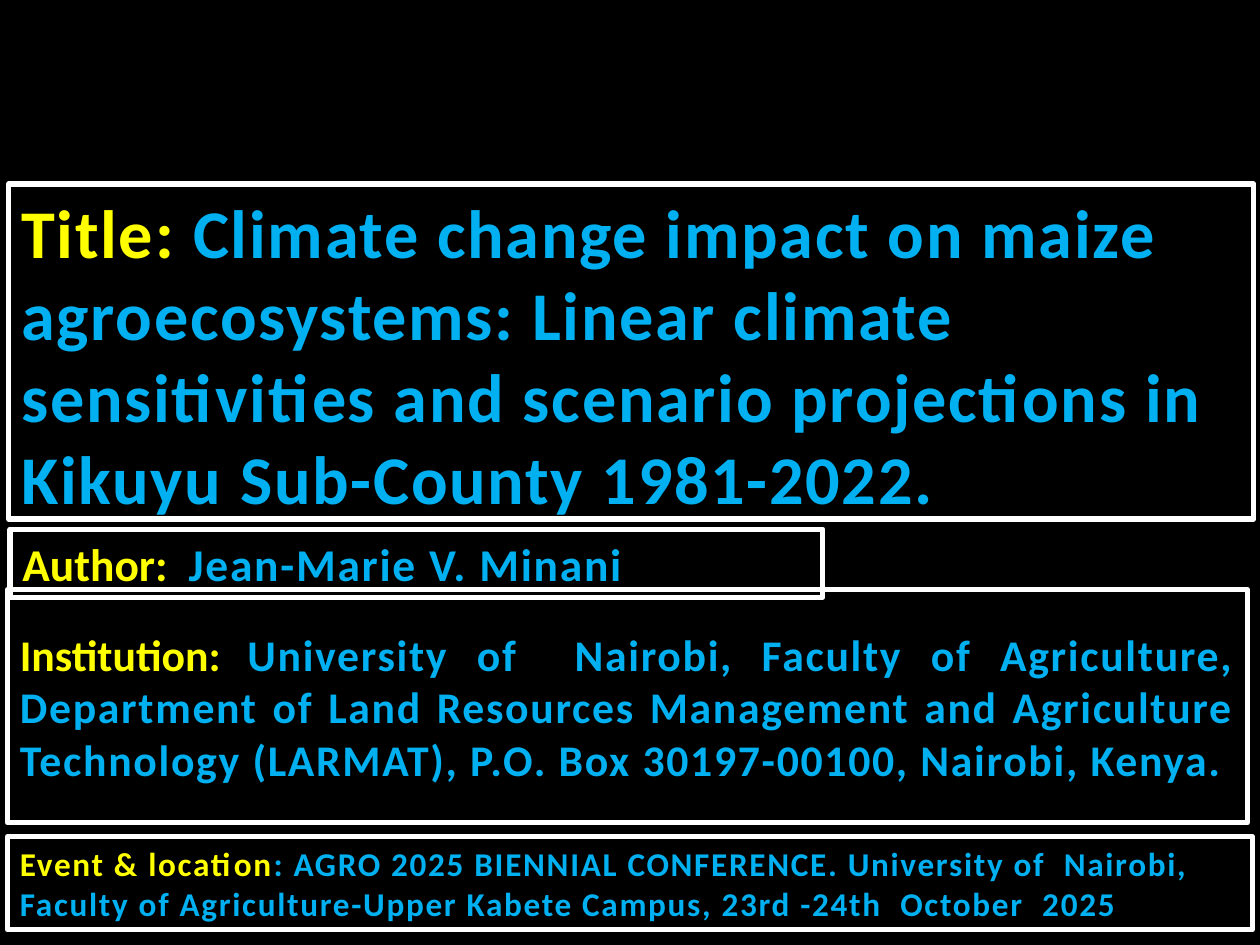
from dataclasses import dataclass

from pptx import Presentation
from pptx import util as u
from pptx.dml.color import RGBColor
from pptx.enum import text


@dataclass(frozen=True)
class Theme:
    background: str = "000000"
    border: str = "FFFFFF"
    label: str = "FFFF00"
    detail: str = "00B0F0"
    font: str = "Calibri"
    border_width: int = 3
    tracking: int = 1
    title_size: int = 39
    author_size: int = 26
    institution_size: int = 25
    event_size: int = 19


THEME = Theme()
SLIDE_WIDTH, SLIDE_HEIGHT = 10, 7.5


def add_run(paragraph, words, size, color, tracking=0):
    run = paragraph.add_run()
    run.text = words
    run.font.name = THEME.font
    run.font.size = u.Pt(size)
    run.font.bold = True
    run.font.color.rgb = RGBColor.from_string(color)
    if tracking:
        run._r.get_or_add_rPr().set("spc", str(tracking * 100))


def fill_panel(panel, box, label, detail, size, label_tracking=0,
               anchor=text.MSO_ANCHOR.MIDDLE, align=text.PP_ALIGN.LEFT):
    """Frame a text shape in its box and write a label followed by its detail."""
    panel.left, panel.top, panel.width, panel.height = (u.Inches(side) for side in box)
    panel.fill.background()
    panel.line.color.rgb = RGBColor.from_string(THEME.border)
    panel.line.width = u.Pt(THEME.border_width)
    frame = panel.text_frame
    frame.word_wrap = True
    frame.auto_size = text.MSO_AUTO_SIZE.NONE
    frame.vertical_anchor = anchor
    paragraph = frame.paragraphs[0]
    paragraph.alignment = align
    add_run(paragraph, label, size, THEME.label, label_tracking)
    add_run(paragraph, detail, size, THEME.detail, THEME.tracking)


def add_panel(slide, box, *content, **options):
    panel = slide.shapes.add_textbox(*(u.Inches(side) for side in box))
    fill_panel(panel, box, *content, **options)


def build_cover(slide, width, height):
    slide.background.fill.solid()
    slide.background.fill.fore_color.rgb = RGBColor.from_string(THEME.background)
    left = 0.06
    full_width = width - 2 * left

    add_panel(slide, (left + 0.02, 0.56 * height, 0.645 * width, 0.54),
              "Author:  ", "Jean-Marie V. Minani", THEME.author_size)
    fill_panel(slide.shapes.title, (left + 0.01, 1.46, full_width, 2.66),
               "Title: ",
               "Climate change impact on maize agroecosystems: Linear climate "
               "sensitivities and scenario projections in Kikuyu Sub-County 1981-2022.",
               THEME.title_size, label_tracking=THEME.tracking,
               anchor=text.MSO_ANCHOR.TOP)
    add_panel(slide, (left, 4.68, full_width - 0.04, 1.85),
              "Institution: ",
              "University of  Nairobi, Faculty of Agriculture, Department of Land "
              "Resources Management and Agriculture Technology (LARMAT), "
              "P.O. Box 30197-00100, Nairobi, Kenya. ",
              THEME.institution_size, align=text.PP_ALIGN.JUSTIFY)
    add_panel(slide, (left, 6.64, full_width, 0.74),
              "Event & location",
              ": AGRO 2025 BIENNIAL CONFERENCE. University of  Nairobi, Faculty of "
              "Agriculture-Upper Kabete Campus, 23rd -24th  October  2025",
              THEME.event_size, label_tracking=THEME.tracking)


def main():
    deck = Presentation()
    deck.slide_width, deck.slide_height = u.Inches(SLIDE_WIDTH), u.Inches(SLIDE_HEIGHT)
    title_only = deck.slide_layouts.get_by_name("Title Only")
    build_cover(deck.slides.add_slide(title_only), SLIDE_WIDTH, SLIDE_HEIGHT)
    deck.save("out.pptx")


if __name__ == "__main__":
    main()
